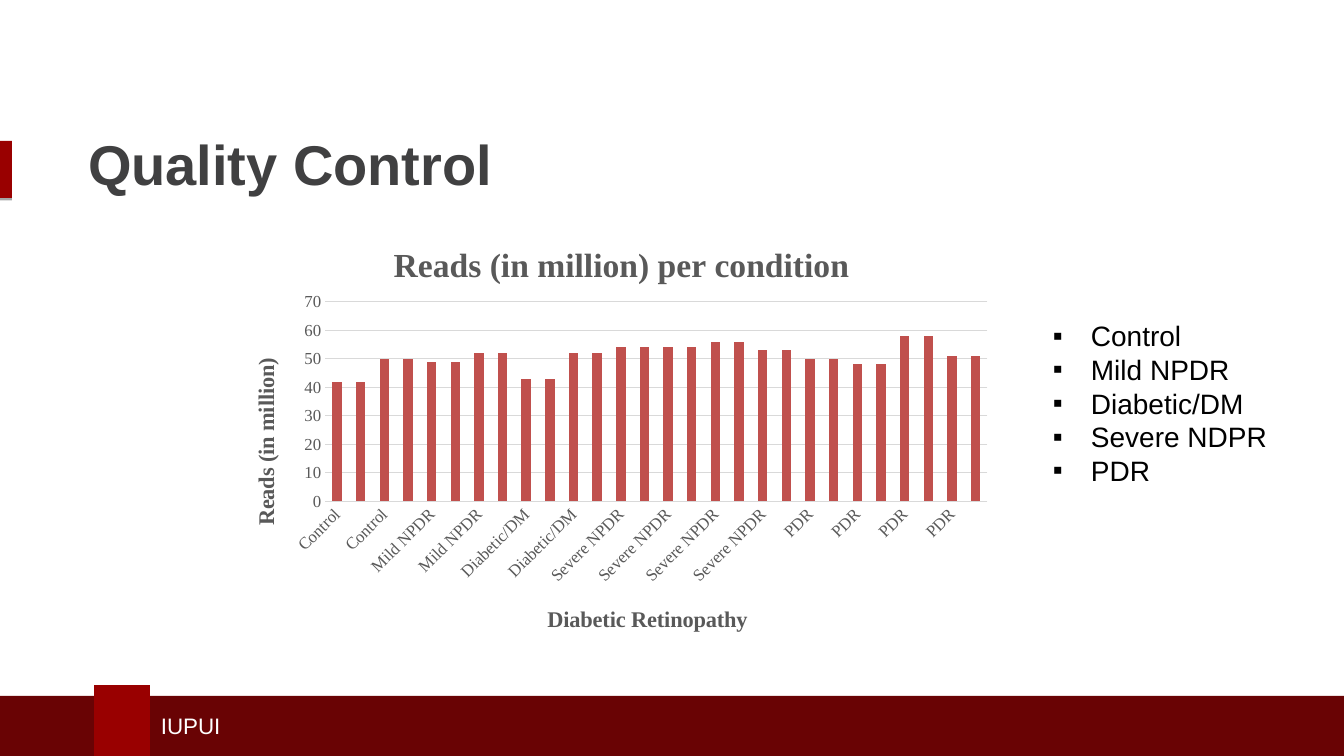
from lxml import etree
from pptx import Presentation
from pptx.chart.data import CategoryChartData
from pptx.dml.color import RGBColor
from pptx.enum.chart import XL_CHART_TYPE, XL_TICK_MARK
from pptx.enum.shapes import MSO_SHAPE
from pptx.enum.text import MSO_ANCHOR, PP_ALIGN
from pptx.oxml.ns import qn
from pptx.util import Pt

RECTANGLE = MSO_SHAPE.RECTANGLE
STACKED = XL_CHART_TYPE.COLUMN_STACKED
NO_TICK = XL_TICK_MARK.NONE
MIDDLE = MSO_ANCHOR.MIDDLE
LEFT = PP_ALIGN.LEFT
SCALE = 914400 / 100.8
COLORS = {
    "red": "990000", "maroon": "690304", "white": "FFFFFF", "black": "000000",
    "title": "404041", "label": "595959", "grid": "D9D9D9", "column": "C0504D",
}


def px(*lengths):
    return [round(length * SCALE) for length in lengths]


def style(font, name, size, color, bold=False):
    font.name = name
    font.size = Pt(size)
    font.bold = bold
    font.color.rgb = RGBColor.from_string(COLORS[color])


deck = Presentation()
deck.slide_width, deck.slide_height = px(1344, 756)
page = deck.slides.add_slide(deck.slide_layouts[5])

for color, bounds in [
    ("red", (0, 141, 12, 57)),
    ("maroon", (0, 696, 1344, 60)),
    ("red", (94, 685, 56, 71)),
]:
    block = page.shapes.add_shape(RECTANGLE, *px(*bounds))
    block.fill.solid()
    block.fill.fore_color.rgb = RGBColor.from_string(COLORS[color])
    block.line.fill.background()
    block.shadow.inherit = False
    effects = block._element.spPr.find(qn("a:effectLst"))
    shadow = etree.SubElement(effects, qn("a:outerShdw"), dist="22860", dir="5400000", rotWithShape="0")
    shade = etree.SubElement(shadow, qn("a:srgbClr"), val=COLORS["black"])
    etree.SubElement(shade, qn("a:alpha"), val="35000")

footer = page.shapes.add_textbox(*px(151, 706, 531, 40))
footer.text_frame.word_wrap = True
footer.text_frame.vertical_anchor = MIDDLE
footer.text_frame.text = "IUPUI"
style(footer.text_frame.paragraphs[0].runs[0].font, "Arial", 16, "white")

title = page.shapes.title
title.left, title.top, title.width, title.height = px(78, 112, 1230, 103)
title.text_frame.text = "Quality Control"
title.text_frame.vertical_anchor = MIDDLE
title.text_frame.paragraphs[0].alignment = LEFT
style(title.text_frame.paragraphs[0].runs[0].font, "Arial", 40, "title", True)

groups = [("Control", 4), ("Mild NPDR", 4), ("Diabetic/DM", 4), ("Severe NPDR", 8), ("PDR", 8)]
paired_reads = [42, 50, 49, 52, 43, 52, 54, 54, 56, 53, 50, 48, 58, 51]
reads = CategoryChartData()
reads.categories = [name for name, count in groups for _ in range(count)]
reads.add_series("Series 1", [value for value in paired_reads for _ in range(2)])
chart = page.shapes.add_chart(STACKED, *px(224, 215, 779, 434), reads).chart
style(chart.font, "Times New Roman", 12, "black")
chart.has_legend = False
chart.has_title = True

plot = chart.plots[0]
plot.gap_width = 150
plot.overlap = 100
plot.vary_by_categories = False
column_fill = plot.series[0].format.fill
column_fill.solid()
column_fill.fore_color.rgb = RGBColor.from_string(COLORS["column"])

category_axis, value_axis = chart.category_axis, chart.value_axis
for axis in (category_axis, value_axis):
    axis.has_title = True
    axis.major_tick_mark = NO_TICK
    axis.minor_tick_mark = NO_TICK
    style(axis.tick_labels.font, "Times New Roman", 12, "label")
category_axis._element.find(qn("c:txPr")).find(qn("a:bodyPr")).set("rot", "-2700000")
value_axis.minimum_scale = 0
value_axis.maximum_scale = 70
value_axis.major_unit = 10
value_axis.format.line.fill.background()
for line in (category_axis.format.line, value_axis.major_gridlines.format.line):
    line.color.rgb = RGBColor.from_string(COLORS["grid"])
    line.width = Pt(0.75)

placements = []
for heading, text, size, place in [
    (chart.chart_title, "Reads (in million) per condition", 24, {"x": 0.21, "y": 0.05}),
    (category_axis.axis_title, "Diabetic Retinopathy", 16, {"x": 0.41, "y": 0.89}),
    (value_axis.axis_title, "Reads (in million)", 16, {"x": 0.03, "y": 0.32}),
]:
    heading.text_frame.text = text
    style(heading.text_frame.paragraphs[0].runs[0].font, "Times New Roman", size, "label", True)
    placements.append(place)
value_axis.axis_title.text_frame._txBody.find(qn("a:bodyPr")).set("rot", "-5400000")

chart_root = chart._chartSpace
targets = [(node, place) for node, place in zip(chart_root.iter(qn("c:title")), placements)]
plot_area = next(chart_root.iter(qn("c:plotArea")))
targets.append((plot_area, {"x": 0.13, "y": 0.2, "w": 0.85, "h": 0.46}))
for node, place in targets:
    for old_layout in node.findall(qn("c:layout")):
        node.remove(old_layout)
    layout = etree.Element(qn("c:layout"))
    node.insert(0 if node is plot_area else 1, layout)
    manual = etree.SubElement(layout, qn("c:manualLayout"))
    if node is plot_area:
        etree.SubElement(manual, qn("c:layoutTarget"), val="inner")
    for key in ("x", "y"):
        etree.SubElement(manual, qn(f"c:{key}Mode"), val="edge")
    for key, share in place.items():
        etree.SubElement(manual, qn(f"c:{key}"), val=str(share))

conditions = page.shapes.add_textbox(*px(1043, 314, 265, 179))
conditions.text_frame.word_wrap = True
conditions.text_frame.text = "Control\nMild NPDR\nDiabetic/DM\nSevere NDPR\nPDR"
indent = px(38)[0]
for para in conditions.text_frame.paragraphs:
    para.line_spacing = Pt(24)
    properties = para._p.get_or_add_pPr()
    properties.set("marL", str(indent))
    properties.set("indent", str(-indent))
    etree.SubElement(properties, qn("a:buFont"), typeface="Arial")
    etree.SubElement(properties, qn("a:buChar"), char="▪")
    style(para.runs[0].font, "Arial", 20, "black")

deck.save("out.pptx")
